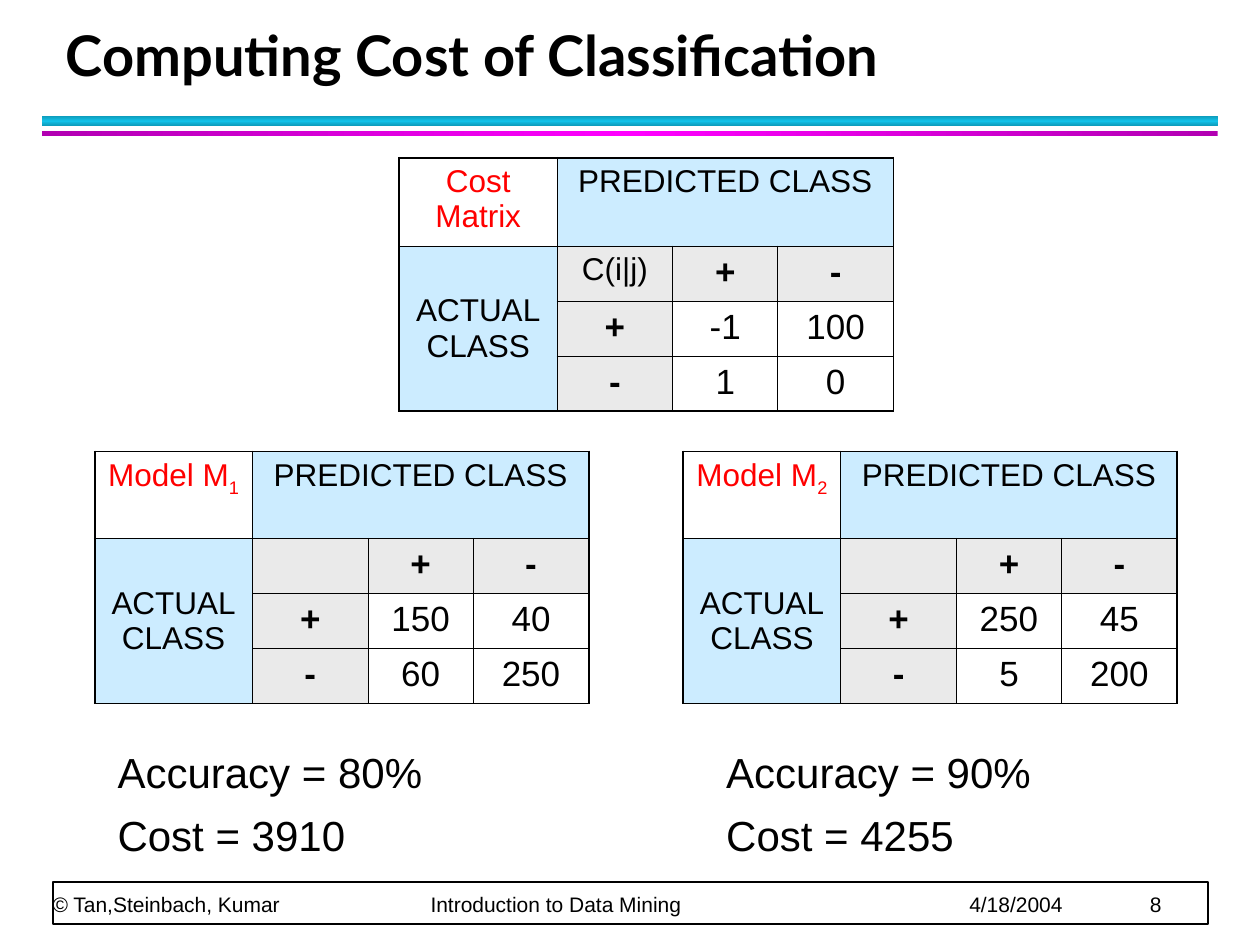
import copy

import pptx
import pptx.dml.color
import pptx.enum.shapes
import pptx.enum.text
import pptx.oxml
import pptx.oxml.ns
import pptx.util

Cm, Pt = pptx.util.Cm, pptx.util.Pt
ALIGN = pptx.enum.text.PP_ALIGN
ANCHOR = pptx.enum.text.MSO_ANCHOR
RECTANGLE = pptx.enum.shapes.MSO_SHAPE.RECTANGLE
qn = pptx.oxml.ns.qn


def rgb(value):
    return pptx.dml.color.RGBColor.from_string(value)


def write(paragraph, text, color="000000", **font):
    """Add a run to the paragraph and format it."""
    run = paragraph.add_run()
    run.text = text
    for name, value in {"name": "Arial", "size": Pt(18), **font}.items():
        setattr(run.font, name, value)
    run.font.color.rgb = rgb(color)
    return run


prs = pptx.Presentation()
prs.slide_width, prs.slide_height = Cm(25.4), Cm(19.05)
slide = prs.slides.add_slide(prs.slide_layouts[5])

# Title
title = slide.shapes.title
title.left, title.top, title.width, title.height = Cm(1.07), Cm(0.43), Cm(23.01), Cm(1.47)
title.text_frame.vertical_anchor = ANCHOR.BOTTOM
heading = title.text_frame.paragraphs[0]
heading.alignment = ALIGN.LEFT
heading.line_spacing = Pt(36)
write(heading, "Computing Cost of Classification", name="Lato", size=Pt(32), bold=True)

# Two gradient rules under the title
for top, height, angle, edge, middle in [
    (2.34, 0.2, 90, "0E9BBA", "12C2E9"),
    (2.64, 0.1, 0, "B200B2", "FF00FF"),
]:
    rule = slide.shapes.add_shape(RECTANGLE, Cm(0.85), Cm(top), Cm(23.7), Cm(height))
    rule.shadow.inherit = False
    rule.line.fill.background()
    rule.fill.gradient()
    rule.fill.gradient_angle = angle
    stop_list = rule._element.spPr.find(".//" + qn("a:gsLst"))
    stop_list.append(copy.deepcopy(stop_list[0]))
    for stop, position, color in zip(rule.fill.gradient_stops, (0, 0.5, 1), (edge, middle, edge)):
        stop.position = position
        stop.color.rgb = rgb(color)

# Footer frame and text, spaced by tab stops
frame = slide.shapes.add_shape(RECTANGLE, Cm(1.07), Cm(17.78), Cm(23.28), Cm(0.85))
frame.shadow.inherit = False
frame.fill.solid()
frame.fill.fore_color.rgb = rgb("FFFFFF")
frame.line.color.rgb = rgb("000000")
frame.line.width = Pt(1)

footer = slide.shapes.add_textbox(Cm(1.06), Cm(17.07), Cm(23.24), Cm(1.42)).text_frame
for name, value in {
    "word_wrap": True, "vertical_anchor": ANCHOR.BOTTOM,
    "margin_left": 0, "margin_top": 0, "margin_right": 0, "margin_bottom": 0,
}.items():
    setattr(footer, name, value)
credits = footer.paragraphs[0]
credits.line_spacing = Pt(20)
tabs = pptx.oxml.parse_xml(f'<a:tabLst {pptx.oxml.ns.nsdecls("a")}/>')
for position in (7.62, 18.48, 22.12):
    tab = tabs.makeelement(qn("a:tab"), {"pos": str(Cm(position)), "algn": "l"})
    tabs.append(tab)
credits._p.get_or_add_pPr().append(tabs)
write(credits, "© Tan,Steinbach, Kumar\tIntroduction to Data Mining\t4/18/2004\t8", size=Pt(12))

# Cost matrix and the two confusion matrices
BLUE, GREY = "CCECFF", "EAEAEA"
matrices = [
    (8.05, 3.18, 1.78, "Cost Matrix", "", "C(i|j)", (("-1", "100"), ("1", "0"))),
    (1.91, 9.1, 1.75, "Model M", "1", "", (("150", "40"), ("60", "250"))),
    (13.77, 9.1, 1.75, "Model M", "2", "", (("250", "45"), ("5", "200"))),
]
for left, top, header_height, name, subscript, corner, counts in matrices:
    column_widths = (3.18, 2.33, 2.12, 2.33)
    row_heights = (header_height, 1.11, 1.11, 1.11)
    matrix = slide.shapes.add_table(
        4, 4, Cm(left), Cm(top), Cm(sum(column_widths)), Cm(sum(row_heights))
    ).table
    matrix.first_row = matrix.horz_banding = False
    for column, width in zip(matrix.columns, column_widths):
        column.width = Cm(width)
    for row, height in zip(matrix.rows, row_heights):
        row.height = Cm(height)
    matrix.cell(0, 1).merge(matrix.cell(0, 3))
    matrix.cell(1, 0).merge(matrix.cell(3, 0))

    labels = [
        (name, "PREDICTED CLASS", "", ""),
        ("ACTUAL", corner, "+", "-"),
        ("", "+", *counts[0]),
        ("", "-", *counts[1]),
    ]
    for r, row_labels in enumerate(labels):
        for c, label in enumerate(row_labels):
            cell = matrix.cell(r, c)
            if cell.is_spanned:
                continue
            is_sign = r and c and (r == 1 or c == 1)
            if (r, c) in ((0, 1), (1, 0)) or is_sign:
                cell.fill.solid()
                cell.fill.fore_color.rgb = rgb(GREY if is_sign else BLUE)
            else:
                cell.fill.background()

            # Thick outer borders, thin inner ones
            last_row = r + (cell.span_height if cell.is_merge_origin else 1) == 4
            last_column = c + (cell.span_width if cell.is_merge_origin else 1) == 4
            sides = {"lnL": c == 0, "lnR": last_column, "lnT": r == 0, "lnB": last_row}
            for i, (side, is_outer) in enumerate(sides.items()):
                cell._tc.get_or_add_tcPr().insert(i, pptx.oxml.parse_xml(
                    f'<a:{side} {pptx.oxml.ns.nsdecls("a")} w="{Pt(1.08 if is_outer else 0.45)}">'
                    f'<a:solidFill><a:srgbClr val="000000"/></a:solidFill></a:{side}>'))

            entry = cell.text_frame.paragraphs[0]
            entry.alignment = ALIGN.CENTER
            if not label:
                continue
            if (r, c) == (0, 0):
                write(entry, label, "FF0000")
                if subscript:
                    index = write(entry, subscript, "FF0000")
                    index.font._element.set("baseline", "-25000")
            elif (r, c) == (1, 0):
                cell.vertical_anchor = ANCHOR.MIDDLE
                write(entry, label)
                entry.add_line_break()
                write(entry, "CLASS")
            elif r == 0 or label == corner:
                write(entry, label)
            else:
                write(entry, label, size=Pt(20), bold=bool(is_sign))

# Accuracy and cost of each model
for left, accuracy, cost in [(2.12, "80%", "3910"), (14.39, "90%", "4255")]:
    result = slide.shapes.add_textbox(Cm(left), Cm(14.82), Cm(8.47), Cm(2.75)).text_frame
    result.word_wrap = True
    result.margin_top = Cm(0.23)
    result.paragraphs[0].space_after = Pt(7)
    write(result.paragraphs[0], f"Accuracy = {accuracy}", size=Pt(24))
    write(result.add_paragraph(), f"Cost = {cost}", size=Pt(24))

prs.save("out.pptx")
